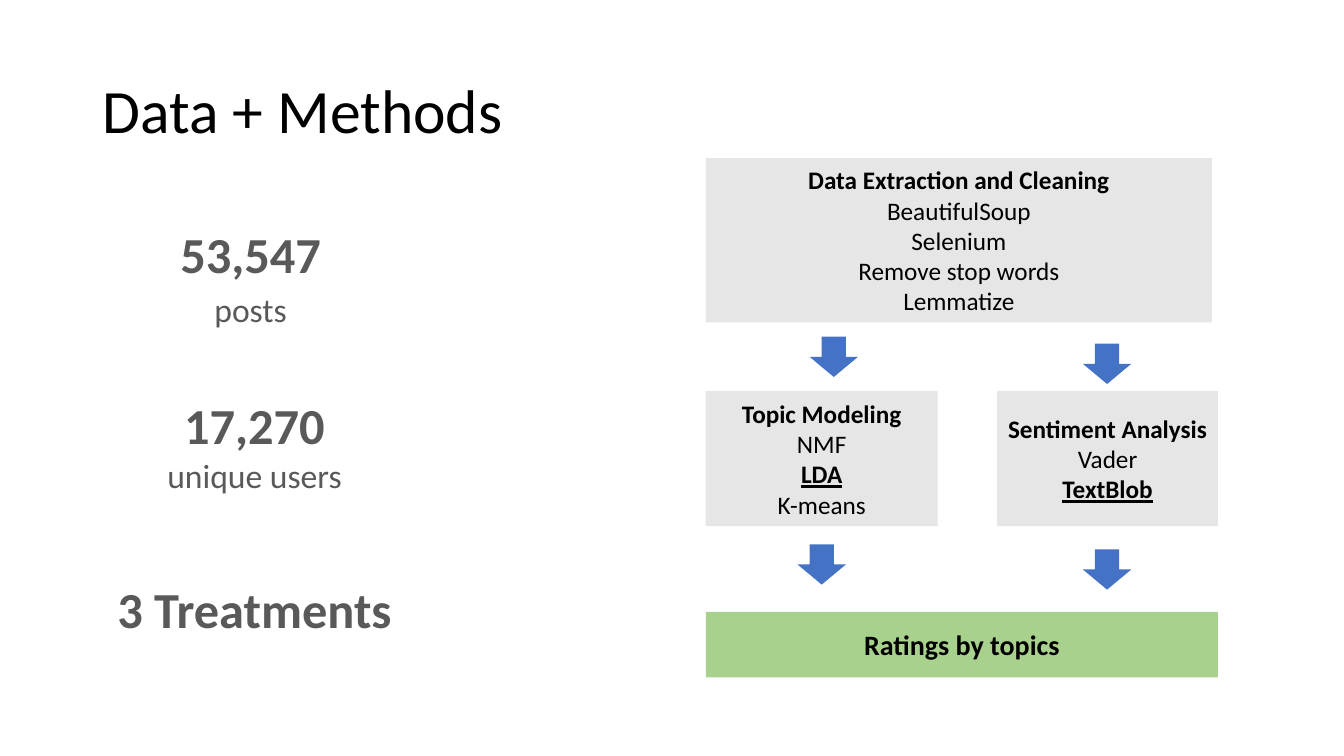
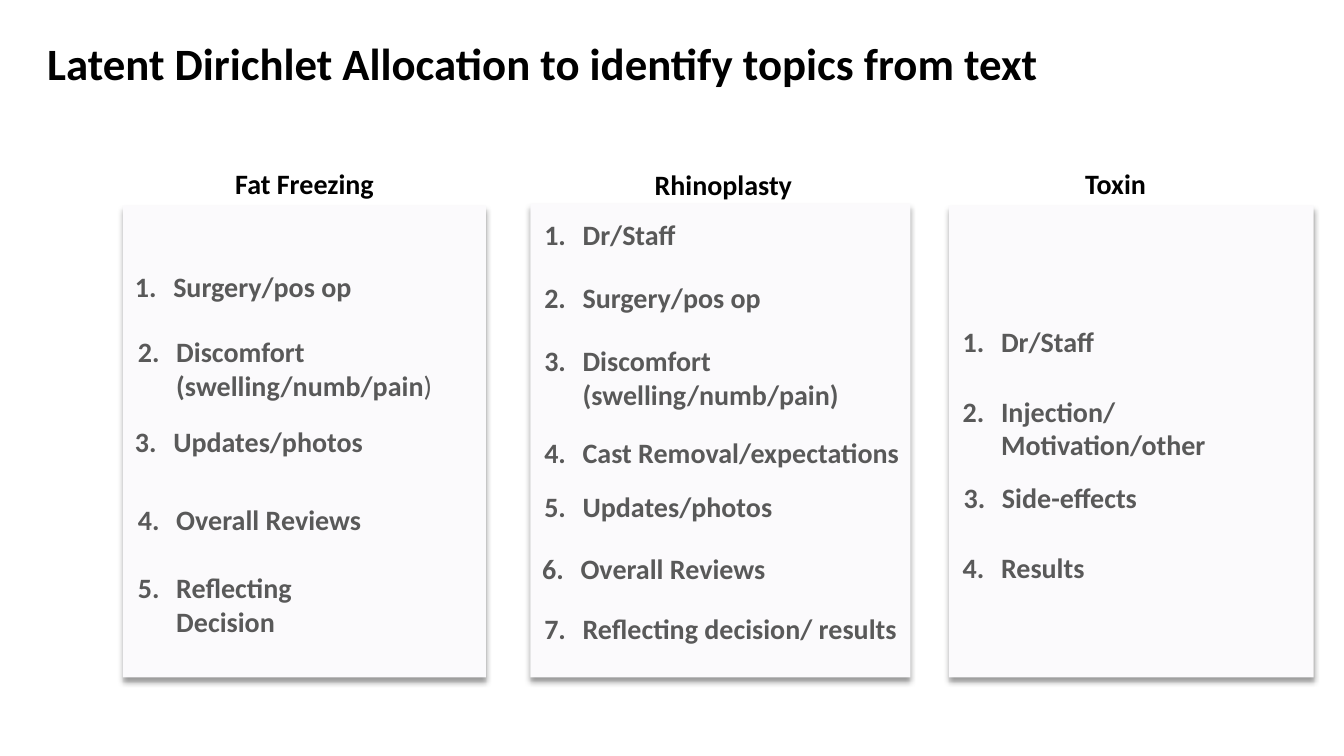
from lxml.etree import SubElement
from pptx import Presentation
from pptx.dml.color import RGBColor
from pptx.enum.shapes import MSO_SHAPE
from pptx.enum.text import MSO_ANCHOR, MSO_AUTO_SIZE, PP_ALIGN
from pptx.oxml.ns import qn
from pptx.util import Inches, Pt

BLACK = RGBColor(0x00, 0x00, 0x00)
WHITE = RGBColor(0xFF, 0xFF, 0xFF)
DARK = RGBColor(0x59, 0x59, 0x59)
GRAY = RGBColor(0xE7, 0xE6, 0xE6)
PALE = RGBColor(0xFB, 0xFA, 0xFC)
BLUE = RGBColor(0x44, 0x72, 0xC4)
GREEN = RGBColor(0xA9, 0xD1, 0x8E)


class Deck:
    font = "Calibri"
    indent = Inches(0.38)

    def __init__(self):
        self.prs = Presentation()
        self.prs.slide_width = Inches(13.33)
        self.prs.slide_height = Inches(7.5)
        self.slide = None

    def page(self):
        self.slide = self.prs.slides.add_slide(self.prs.slide_layouts[6])
        self.paint(self.slide.background, WHITE)

    def paint(self, target, color):
        target.fill.solid()
        target.fill.fore_color.rgb = color

    def run(self, para, text, size, color=BLACK, style="b"):
        """Style letters: b for bold, u for underlined."""
        run = para.add_run()
        run.text = text
        font = run.font
        font.name, font.size = self.font, Pt(size)
        font.color.rgb = color
        font.bold = "b" in style
        if "u" in style:
            font.underline = True

    def text(self, x, y, w, h, wrap=True, fill=None):
        box = self.slide.shapes.add_textbox(*map(Inches, (x, y, w, h)))
        box.text_frame.word_wrap = wrap
        if fill is not None:
            self.paint(box, fill)
        return box.text_frame

    def para(self, frame, first, align=PP_ALIGN.CENTER):
        para = frame.paragraphs[0] if first else frame.add_paragraph()
        para.alignment = align
        return para

    def title(self, text, x, y, h, size, style):
        frame = self.text(x, y, 11.5, h)
        frame.vertical_anchor = MSO_ANCHOR.MIDDLE
        para = self.para(frame, True, PP_ALIGN.LEFT)
        para.line_spacing = 0.9
        self.run(para, text, size, style=style)

    def shape(self, kind, x, y, w, h, color):
        shape = self.slide.shapes.add_shape(kind, *map(Inches, (x, y, w, h)))
        shape.shadow.inherit = False
        self.paint(shape, color)
        shape.line.fill.background()
        return shape

    def box(self, x, y, w, h, lines, color=GRAY, size=18):
        frame = self.shape(MSO_SHAPE.RECTANGLE, x, y, w, h, color).text_frame
        frame.word_wrap = True
        frame.vertical_anchor = MSO_ANCHOR.MIDDLE
        for i, (text, style) in enumerate(lines):
            self.run(self.para(frame, i == 0), text, size, style=style)

    def arrow(self, x, y):
        self.shape(MSO_SHAPE.DOWN_ARROW, x, y, 0.48, 0.4, BLUE)

    def stat(self, x, y, w, h, lines):
        frame = self.text(x, y, w, h)
        frame.auto_size = MSO_AUTO_SIZE.SHAPE_TO_FIT_TEXT
        for i, runs in enumerate(lines):
            para = self.para(frame, i == 0)
            for text, size, style in runs:
                self.run(para, text, size, DARK, style)

    def card(self, x, y, w, h):
        card = self.shape(MSO_SHAPE.RECTANGLE, x, y, w, h, PALE)
        effects = card._element.spPr.find(qn("a:effectLst"))
        shade = SubElement(effects, qn("a:outerShdw"), blurRad=str(Pt(4)),
                           dist=str(Pt(3)), dir="5400000", rotWithShape="0")
        tint = SubElement(shade, qn("a:srgbClr"), val=str(BLACK))
        SubElement(tint, qn("a:alpha"), val="40000")

    def space(self, para):
        para.space_before = para.space_after = Pt(6)

    def head(self, text, x, y, w):
        para = self.para(self.text(x, y, w, 0.44), True)
        self.space(para)
        self.run(para, text, 20)

    def item(self, num, x, y, w, runs, rows, fill):
        """Rows: 0 keeps the text on one line, 1 or 2 lets it wrap."""
        h = 0.77 if rows == 2 else 0.44
        frame = self.text(x, y, w, h, rows > 0, fill)
        frame.auto_size = MSO_AUTO_SIZE.SHAPE_TO_FIT_TEXT
        para = self.para(frame, True, PP_ALIGN.LEFT)
        self.space(para)
        props = para._p.get_or_add_pPr()
        props.set("marL", str(self.indent))
        props.set("indent", str(-self.indent))
        SubElement(props, qn("a:buFont"), typeface=self.font)
        SubElement(props, qn("a:buAutoNum"), type="arabicPeriod",
                   startAt=str(num))
        for text, style in runs:
            self.run(para, text, 20, DARK, style)


def methods(deck):
    deck.page()
    deck.title("Data + Methods", 0.92, 0.4, 1.45, 44, "")

    # Flow of steps
    deck.box(7, 1.57, 5.02, 1.63, [
        ("Data Extraction and Cleaning", "b"), ("BeautifulSoup", ""),
        ("Selenium", ""), ("Remove stop words", ""), ("Lemmatize", "")])
    deck.box(7, 3.88, 2.3, 1.34, [
        ("Topic Modeling", "b"), ("NMF", ""), ("LDA", "bu"), ("K-means", "")])
    deck.box(9.89, 3.88, 2.19, 1.34, [
        ("Sentiment Analysis", "b"), ("Vader", ""), ("TextBlob", "bu")])
    deck.box(7, 6.07, 5.08, 0.65, [("Ratings by topics", "b")], GREEN, 20)
    for x, y in ((8.03, 3.34), (10.74, 3.41), (7.91, 5.4), (10.74, 5.45)):
        deck.arrow(x, y)

    # Key figures
    deck.stat(0.97, 2.16, 3.12, 1.18, [
        [("53,547", 36, "b"), (" ", 28, "b")],
        [("posts", 24, ""), (" ", 28, "b")]])
    deck.stat(1.15, 3.86, 2.75, 1.11, [
        [("17,270", 36, "b")], [("unique users", 24, "")]])
    deck.stat(0.81, 5.69, 3.43, 0.71, [[("3 Treatments", 36, "b")]])


def topics(deck):
    deck.page()
    deck.title("Latent Dirichlet Allocation to identify topics from text",
               0.37, 0.15, 1.01, 32, "b")

    # Each column: heading, card, item fill, items as x, y, width, text, rows
    columns = [
        (("Fat Freezing", 1.86, 1.6, 2.32), (1.22, 2.04, 3.6, 4.68), PALE, [
            (1.24, 2.62, 2.61, "Surgery/pos op", 1),
            (1.27, 3.27, 3.2, "Discomfort (swelling/numb/pain", 2),
            (1.24, 4.16, 2.48, "Updates/photos", 0),
            (1.27, 4.94, 2.43, "Overall Reviews", 0),
            (1.27, 5.61, 2.5, "Reflecting Decision", 2)]),
        (("Rhinoplasty", 6.14, 1.61, 2.07), (5.26, 2.02, 3.77, 4.7), None, [
            (5.3, 2.11, 1.59, "Dr/Staff", 1),
            (5.3, 2.73, 2.37, "Surgery/pos op", 0),
            (5.3, 3.36, 3.16, "Discomfort (swelling/numb/pain)", 2),
            (5.3, 4.27, 3.75, "Cast Removal/expectations", 0),
            (5.3, 4.81, 2.48, "Updates/photos", 0),
            (5.28, 5.42, 2.43, "Overall Reviews", 0),
            (5.3, 6.02, 3.73, "Reflecting decision/ results", 0)]),
        (("Toxin", 10.49, 1.6, 1.15), (9.41, 2.04, 3.62, 4.68), None, [
            (9.45, 3.17, 1.55, "Dr/Staff", 1),
            (9.45, 3.86, 3.22, "Injection/Motivation/other", 2),
            (9.46, 4.72, 1.94, "Side-effects", 0),
            (9.45, 5.41, 1.42, "Results", 0)]),
    ]
    for head, card, fill, items in columns:
        deck.card(*card)
        deck.head(*head)
        for num, (x, y, w, text, rows) in enumerate(items, 1):
            runs = [(text, "b")]
            if text.endswith("/pain"):
                runs.append((")", ""))  # the closing bracket is not bold
            deck.item(num, x, y, w, runs, rows, fill)


def main():
    deck = Deck()
    methods(deck)
    topics(deck)
    deck.prs.save("out.pptx")


if __name__ == "__main__":
    main()
